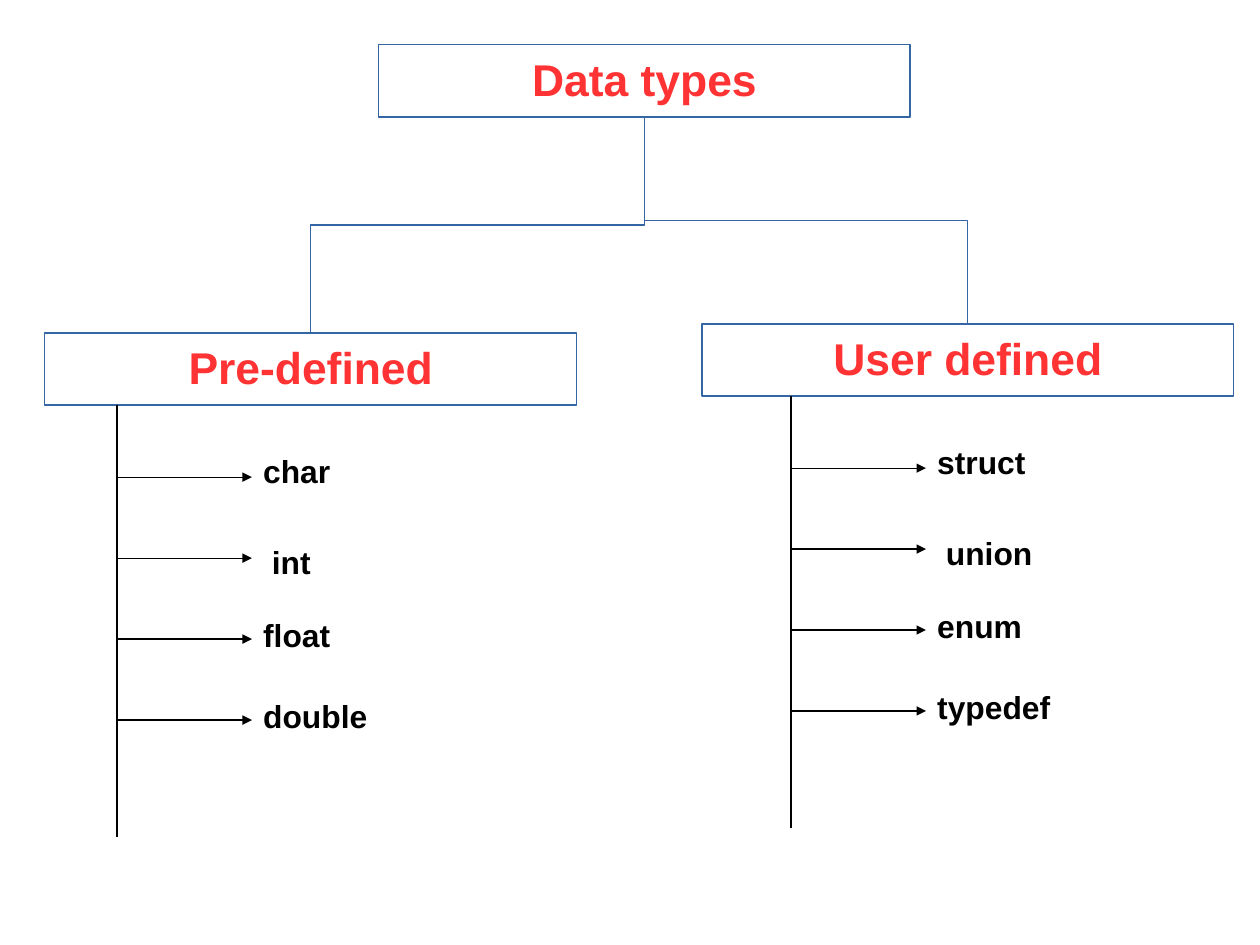
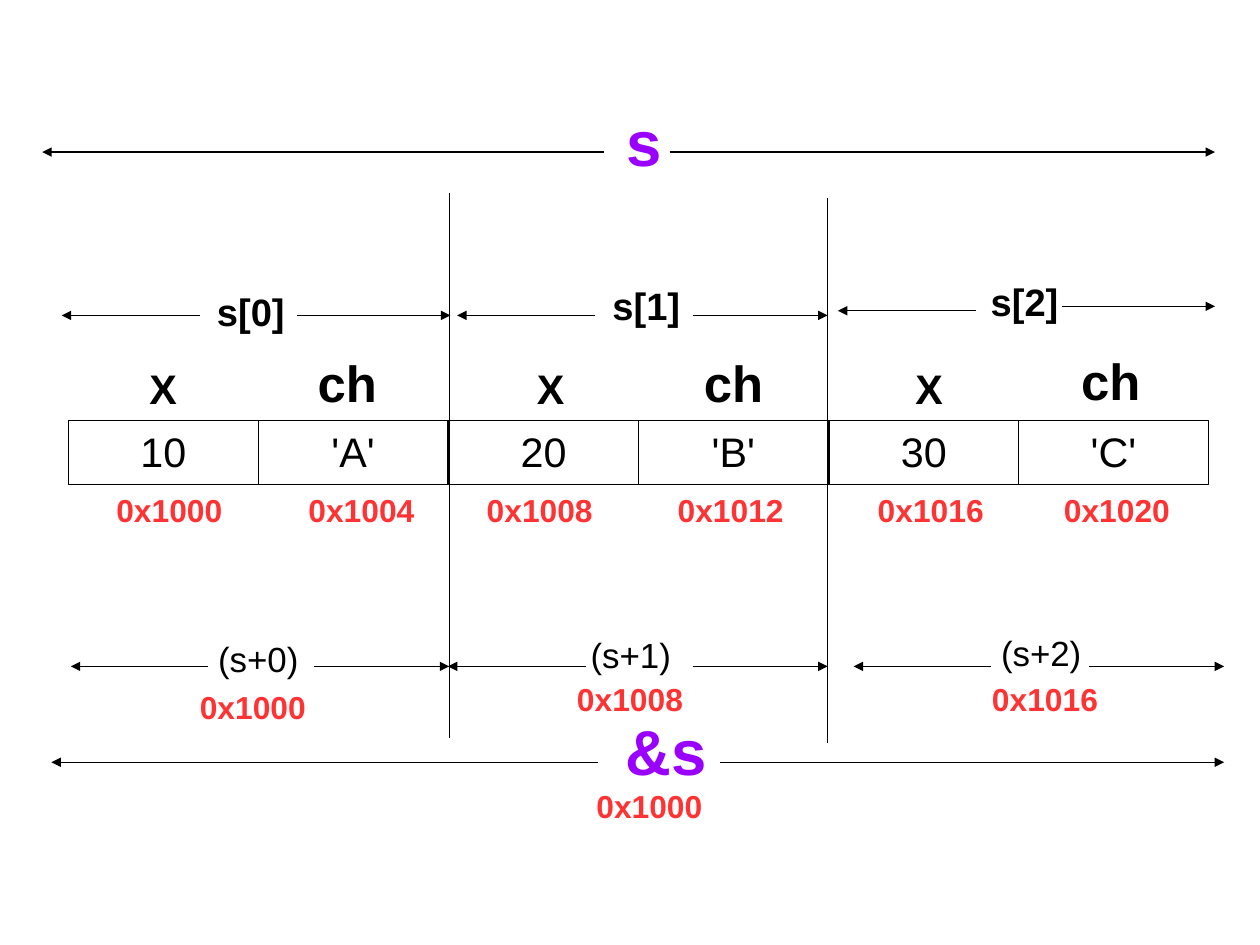
"""Build two slides on C data types and the memory layout of a structure array."""
import collections
import dataclasses

import lxml.etree
import pptx
import pptx.dml.color
import pptx.enum.shapes
import pptx.enum.text
import pptx.oxml.ns
import pptx.util

Pt = pptx.util.Pt
Style = collections.namedtuple("Style", "size color bold")
Branch = collections.namedtuple("Branch", "title left top trunk_offset items")
Span = collections.namedtuple("Span", "text style label left_arrow right_arrow")
Record = collections.namedtuple("Record", "members span pointer address label")
Member = collections.namedtuple("Member", "name name_at value address address_left")


@dataclasses.dataclass(frozen=True)
class Theme:
    """Colours, type styles and line settings shared by the slides."""
    font = "Arial"
    background = "FFFFFF"
    box_line = "3465A4"
    black = "000000"
    line_width = 0.74
    line_spacing = 0.94
    insets = (7.2, 4.5, 7.2, 3.6)
    heading = Style(28, "FF3333", True)
    item = Style(20, "000000", True)
    address = Style(20, "FF3333", True)
    array = Style(40, "9900FF", True)
    element = Style(24, "000000", True)
    pointer = Style(22, "000000", False)
    value = Style(26, "000000", False)
    x_name = Style(26, "000000", True)
    ch_name = Style(32, "000000", True)


THEME = Theme()
SLIDE_SIZE = (793.7, 595.3)

ROOT = "Data types"
ROOT_AT = (238.5, 28.3)
HEADING_SIZE = (334.8, 45.4)
BRANCHES = [
    Branch("Pre-defined", 28.3, 209.8, 45.4, ["char", "int", "float", "double"]),
    Branch("User defined", 442.2, 204.1, 56.1, ["struct", "union", "enum", "typedef"]),
]
ITEM_OFFSETS = [(85, 27.1), (90.5, 84), (85, 130.4), (85, 181.2)]
TRUNK_LENGTH = 272
ARROW_LENGTH = 85
FIRST_ARROW = 45.4
ARROW_PITCH = 51

CELL_LEFT, CELL_TOP = 43.2, 265
CELL_SIZE = (119.5, 40.3)
RECORD_PITCH = 239.5
ADDRESS_TOP = 306.7
LABEL_SIZE = (100, 34)
ARRAY_SPAN = Span("s", THEME.array, (387.7, 64.1), (380.2, 26.6, 95.8), (421.9, 765.4, 95.8))
ARRAY_ADDRESS_SPAN = Span("&s", THEME.array, (386.9, 447.8),
                          (376.6, 32.4, 480.2), (453.6, 771.1, 480.2))
ARRAY_ADDRESS = ("0x1000", (368.6, 493.2))
DIVIDERS = [(283, 121.7, 465.1), (521.3, 124.6, 468)]
RECORDS = [
    Record(
        [Member("X", (87.1, 226.8), "10", "0x1000", 66.2),
         Member("ch", (193, 220.4), "'A'", "0x1004", 187.2)],
        Span("s[0]", THEME.element, (129.6, 179.3), (126, 38.9, 198.7), (187.2, 283.7, 198.7)),
        Span("(s+0)", THEME.pointer, (130.3, 399.4), (131, 44.6, 419.8), (198, 283, 419.8)),
        "0x1000", (118.8, 430.6)),
    Record(
        [Member("X", (331.2, 226.8), "20", "0x1008", 299.5),
         Member("ch", (436.3, 220.4), "'B'", "0x1012", 419.8)],
        Span("s[1]", THEME.element, (378.7, 175.7), (375.1, 288, 198.7), (436.3, 521.3, 198.7)),
        Span("(s+1)", THEME.pointer, (365, 396.5), (369.4, 282.2, 419.8), (436.3, 521.3, 419.8)),
        "0x1008", (356.4, 425.5)),
    Record(
        [Member("X", (569.5, 226.8), "30", "0x1016", 545.8),
         Member("ch", (673.9, 218.7), "'C'", "0x1020", 663.1)],
        Span("s[2]", THEME.element, (617, 173.5), (614.9, 527.8, 195.8), (668.9, 765.4, 193)),
        Span("(s+2)", THEME.pointer, (623.5, 395.8), (624.2, 537.8, 419.8), (686.2, 771.1, 419.8)),
        "0x1016", (617.8, 425.5)),
]
NAME_STYLES = {"X": THEME.x_name, "ch": THEME.ch_name}


def rgb(color):
    """Return a colour object for a hexadecimal string."""
    return pptx.dml.color.RGBColor.from_string(color)


def set_line(shape, color):
    """Give a shape or connector the shared line width and a colour."""
    shape.line.color.rgb = rgb(color)
    shape.line.width = Pt(THEME.line_width)


def write(shape, text, style, centered=False):
    """Fill a shape with one formatted paragraph."""
    frame = shape.text_frame
    frame.text = text
    frame.word_wrap = True
    frame.auto_size = pptx.enum.text.MSO_AUTO_SIZE.NONE
    anchors, alignments = pptx.enum.text.MSO_ANCHOR, pptx.enum.text.PP_ALIGN
    frame.vertical_anchor = anchors.MIDDLE if centered else anchors.TOP
    (frame.margin_left, frame.margin_top,
     frame.margin_right, frame.margin_bottom) = map(Pt, THEME.insets)
    paragraph = frame.paragraphs[0]
    paragraph.alignment = alignments.CENTER if centered else alignments.LEFT
    paragraph.line_spacing = THEME.line_spacing
    paragraph.font.name = THEME.font
    paragraph.font.size = Pt(style.size)
    paragraph.font.bold = style.bold
    paragraph.font.color.rgb = rgb(style.color)


def move(shape, position, size):
    """Set the position and size of a placeholder."""
    shape.left, shape.top = map(Pt, position)
    shape.width, shape.height = map(Pt, size)


def add_label(slide, text, position, style):
    """Add a left-aligned text box."""
    write(slide.shapes.add_textbox(*map(Pt, position + LABEL_SIZE)), text, style)


def outline(shape, color):
    """Give a box its white fill and coloured outline."""
    shape.fill.solid()
    shape.fill.fore_color.rgb = rgb(THEME.background)
    set_line(shape, color)


def add_box(slide, text, position, size, style, color):
    """Add an outlined rectangle with centred text."""
    rectangle = pptx.enum.shapes.MSO_SHAPE.RECTANGLE
    box = slide.shapes.add_shape(rectangle, *map(Pt, position + size))
    box.shadow.inherit = False
    outline(box, color)
    write(box, text, style, centered=True)


def add_line(slide, start, end, color=THEME.black, arrow=False, kind="STRAIGHT"):
    """Add a connector without shadow, optionally with an arrowhead at its end."""
    connector_type = pptx.enum.shapes.MSO_CONNECTOR[kind]
    connector = slide.shapes.add_connector(connector_type, *map(Pt, start + end))
    set_line(connector, color)
    properties = connector._element.spPr
    qualified = pptx.oxml.ns.qn
    if arrow:
        line = properties.find(qualified("a:ln"))
        lxml.etree.SubElement(line, qualified("a:tailEnd"), type="triangle")
    lxml.etree.SubElement(properties, qualified("a:effectLst"))
    return connector


def add_elbow(slide, start, end):
    """Add a bent connector that leaves and arrives vertically."""
    center_x, center_y = (start[0] + end[0]) / 2, (start[1] + end[1]) / 2
    leftward = end[0] < start[0]
    half_width = (end[1] - start[1]) / 2 * (1 if leftward else -1)
    half_height = abs(end[0] - start[0]) / 2
    connector = add_line(slide, (center_x - half_width, center_y - half_height),
                         (center_x + half_width, center_y + half_height),
                         THEME.box_line, kind="ELBOW")
    transform = connector._element.spPr.find(pptx.oxml.ns.qn("a:xfrm"))
    transform.set("rot", str((90 if leftward else 270) * 60000))


def add_span_arrows(slide, span):
    """Draw the two arrows that point outwards from a span label."""
    for inner, outer, y in (span.left_arrow, span.right_arrow):
        add_line(slide, (inner, y), (outer, y), arrow=True)


def add_span(slide, span):
    """Draw a span label with its arrows."""
    add_label(slide, span.text, span.label, span.style)
    add_span_arrows(slide, span)


def add_branch(slide, branch):
    """Draw one branch of the tree with its list of types."""
    width, height = HEADING_SIZE
    add_box(slide, branch.title, (branch.left, branch.top), HEADING_SIZE,
            THEME.heading, THEME.box_line)
    root_left, root_top = ROOT_AT
    add_elbow(slide, (root_left + width / 2, root_top + height),
              (branch.left + width / 2, branch.top))
    trunk, bottom = branch.left + branch.trunk_offset, branch.top + height
    add_line(slide, (trunk, bottom), (trunk, bottom + TRUNK_LENGTH))
    for index, (item, (across, down)) in enumerate(zip(branch.items, ITEM_OFFSETS)):
        y = bottom + FIRST_ARROW + index * ARROW_PITCH
        add_line(slide, (trunk, y), (trunk + ARROW_LENGTH, y), arrow=True)
        add_label(slide, item, (trunk + across, bottom + down), THEME.item)


def add_record(slide, index, record):
    """Draw one array element with its members, spans and addresses."""
    for position, member in enumerate(record.members):
        left = CELL_LEFT + index * RECORD_PITCH + position * CELL_SIZE[0]
        add_box(slide, member.value, (left, CELL_TOP), CELL_SIZE, THEME.value, THEME.black)
        add_label(slide, member.name, member.name_at, NAME_STYLES[member.name])
        add_label(slide, member.address, (member.address_left, ADDRESS_TOP), THEME.address)
    add_span(slide, record.span)
    add_span(slide, record.pointer)
    add_label(slide, record.address, record.label, THEME.address)


def build_types(slide):
    """Draw the tree of data types."""
    title = slide.shapes.title
    move(title, ROOT_AT, HEADING_SIZE)
    outline(title, THEME.box_line)
    write(title, ROOT, THEME.heading, centered=True)
    for branch in BRANCHES:
        add_branch(slide, branch)


def build_memory(slide):
    """Draw the memory layout of the array."""
    title = slide.shapes.title
    move(title, ARRAY_SPAN.label, LABEL_SIZE)
    write(title, ARRAY_SPAN.text, ARRAY_SPAN.style)
    add_span_arrows(slide, ARRAY_SPAN)
    for index, record in enumerate(RECORDS):
        add_record(slide, index, record)
    for x, top, bottom in DIVIDERS:
        add_line(slide, (x, top), (x, bottom))
    add_span(slide, ARRAY_ADDRESS_SPAN)
    add_label(slide, *ARRAY_ADDRESS, THEME.address)


def main():
    """Create and save the presentation."""
    presentation = pptx.Presentation()
    presentation.slide_width, presentation.slide_height = map(Pt, SLIDE_SIZE)
    title_only = presentation.slide_layouts.get_by_name("Title Only")
    for build in (build_types, build_memory):
        build(presentation.slides.add_slide(title_only))
    presentation.save("out.pptx")


main()
